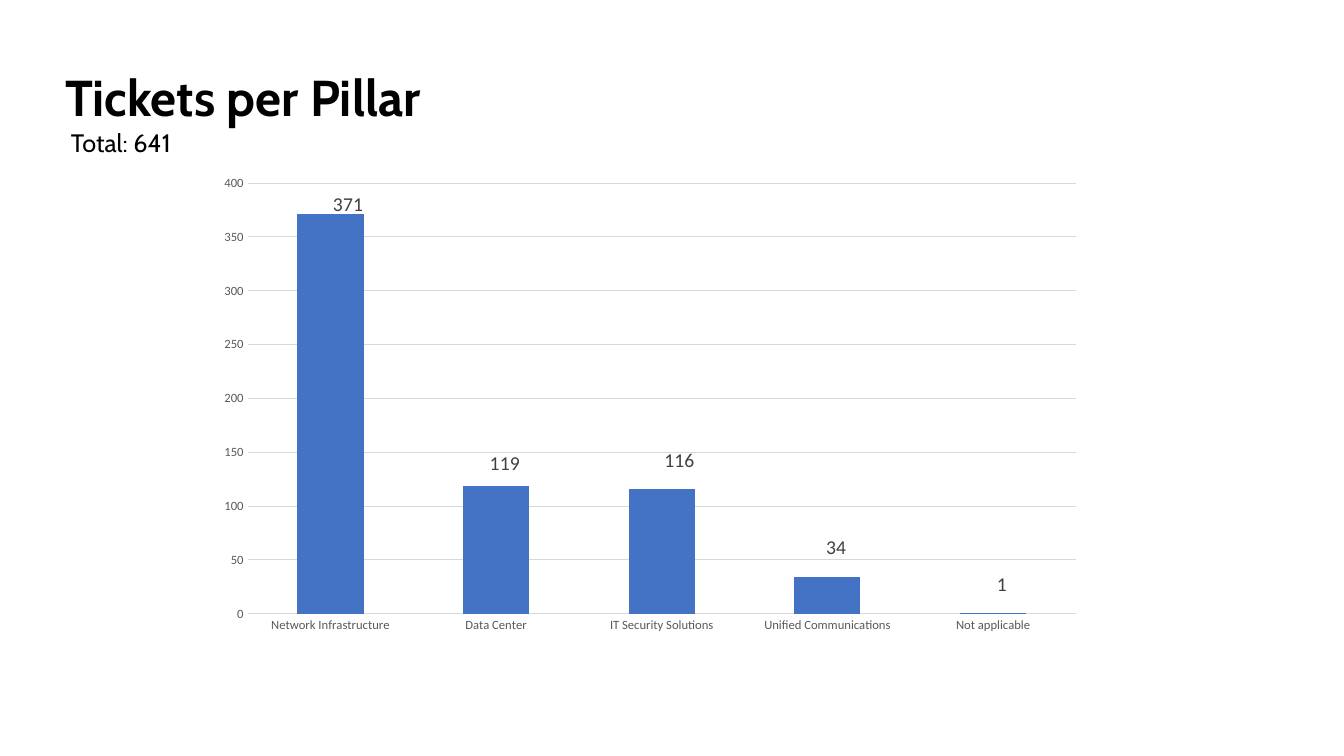
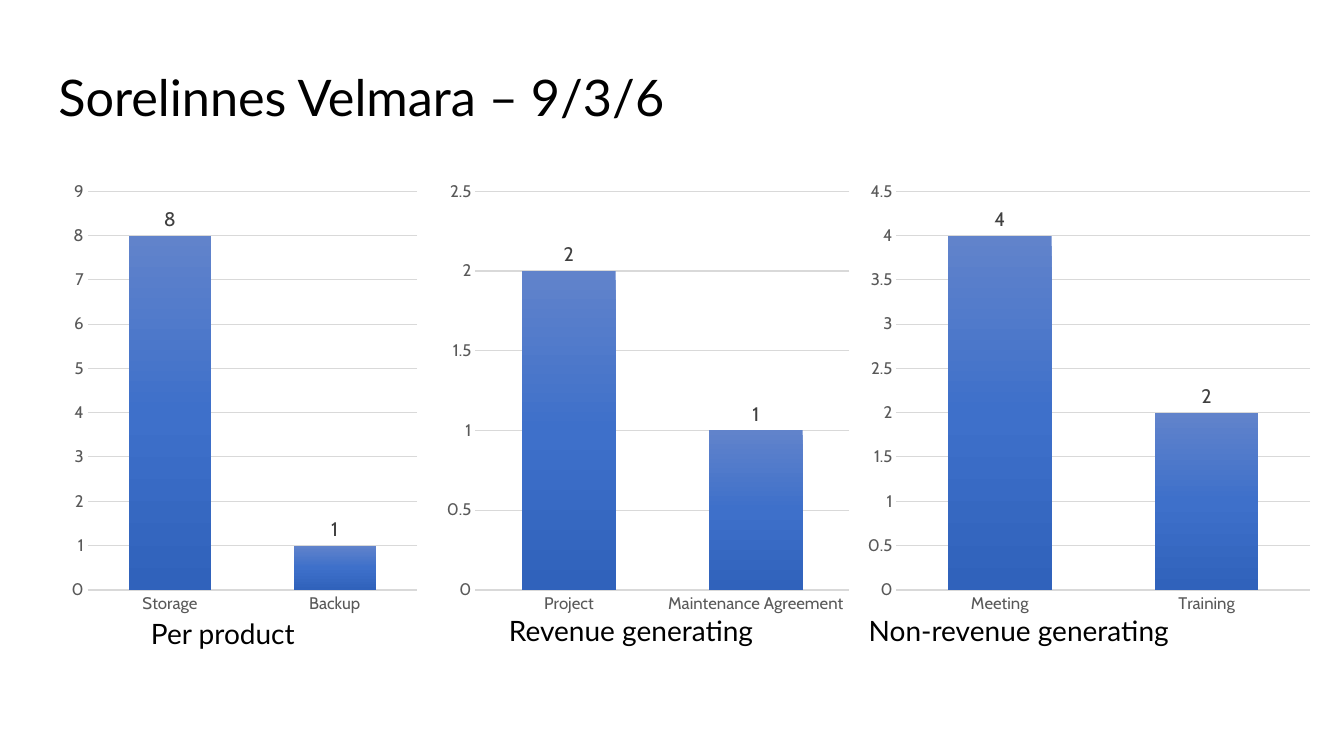
"""Build the two ticket summary slides."""
import copy

import lxml.etree
import pptx
import pptx.chart.data
import pptx.dml.color
import pptx.enum.chart
import pptx.enum.text
import pptx.oxml.ns
import pptx.util

Pt = pptx.util.Pt
BLACK, AXIS_GREY, LABEL_GREY, GRID_GREY = "000000", "595959", "404040", "D9D9D9"
BLUE = "4472C4"
BLUE_GRADIENT = ((0, "6183CB"), (0.5, "3E70CA"), (1, "3062BB"))
TITLE_SIZE = 36
TOP = 43.9
CHART_TOP, CHART_HEIGHT = 123.1, 321.8


def rgb(hex_color):
    """Turn a hex string into a colour."""
    return pptx.dml.color.RGBColor.from_string(hex_color)


def style_font(font, face, size, color, bold=False):
    """Set face, size, colour and weight of a font."""
    font.name, font.size, font.bold = face, Pt(size), bold
    font.color.rgb = rgb(color)


def add_text(slide, box, lines, face, wrap=False):
    """Add a text box with lines of (text, size, bold, indent)."""
    frame = slide.shapes.add_textbox(*map(Pt, box)).text_frame
    frame.word_wrap = wrap
    frame.auto_size = pptx.enum.text.MSO_AUTO_SIZE.SHAPE_TO_FIT_TEXT
    for number, (text, size, bold, indent) in enumerate(lines):
        paragraph = frame.add_paragraph() if number else frame.paragraphs[0]
        if indent:
            paragraph._p.get_or_add_pPr().set("marL", str(Pt(indent)))
        run = paragraph.add_run()
        run.text = text
        style_font(run.font, face, size, BLACK, bold)


def style_axis(axis, face, size):
    """Give an axis its text style and hide its ticks and line."""
    axis.major_tick_mark = axis.minor_tick_mark = pptx.enum.chart.XL_TICK_MARK.NONE
    style_font(axis.tick_labels.font, face, size, AXIS_GREY)
    axis.format.line.fill.background()


def add_columns(slide, box, kind, values, face, axis_size, top, step, gap, overlap):
    """Add a column chart of one series and return it."""
    data = pptx.chart.data.CategoryChartData()
    data.categories = list(values)
    data.add_series("Series 1", list(values.values()))
    chart = slide.shapes.add_chart(kind, *map(Pt, box), data).chart
    chart.has_legend = chart.has_title = False
    style_font(chart.font, face, 10, BLACK)
    for axis in (chart.category_axis, chart.value_axis):
        style_axis(axis, face, axis_size)
    scale = chart.value_axis
    scale.minimum_scale, scale.maximum_scale, scale.major_unit = 0, top, step
    scale.has_major_gridlines = True
    grid = scale.major_gridlines.format.line
    grid.width = Pt(0.75)
    grid.color.rgb = rgb(GRID_GREY)
    plot = chart.plots[0]
    plot.vary_by_categories = False
    plot.gap_width, plot.overlap = gap, overlap
    plot.series[0].invert_if_negative = False
    return chart


def fill_gradient(fill, stops):
    """Fill from top to bottom through three colour stops."""
    fill.gradient()
    fill.gradient_angle = 270
    last = fill.gradient_stops[1]._gs
    last.addprevious(copy.deepcopy(last))
    for stop, (position, color) in zip(fill.gradient_stops, stops):
        stop.position = position
        stop.color.rgb = rgb(color)


def shift_label(chart, number, shift):
    """Move one data label by a fraction of the chart size."""
    index = chart.element.xpath(f".//c:dLbl/c:idx[@val='{number}']")[0]
    qn = pptx.oxml.ns.qn
    layout = lxml.etree.Element(qn("c:layout"))
    manual = lxml.etree.SubElement(layout, qn("c:manualLayout"))
    for axis, offset in zip("xy", shift):
        lxml.etree.SubElement(manual, qn(f"c:{axis}")).set("val", str(offset))
    index.addnext(layout)


def hide_leader_lines(chart):
    """Draw no lines from moved data labels to their columns."""
    for leader_lines in chart.element.xpath(".//c:dLbls/c:showLeaderLines"):
        leader_lines.set("val", "0")


def add_pillar_chart(slide):
    """Add the chart of tickets per pillar."""
    tickets = {"Network Infrastructure": 371, "Data Center": 119,
               "IT Security Solutions": 116, "Unified Communications": 34,
               "Not applicable": 1}
    shifts = ((0.02, -0.44), (0.01, -0.18), (0.02, -0.19), (0.01, -0.1), (0.01, -0.06))
    chart = add_columns(slide, (147.6, 118.8, 633.6, 339.8),
                        pptx.enum.chart.XL_CHART_TYPE.COLUMN_STACKED,
                        tickets, "Calibri", 9, 400, 50, 150, 100)
    series = chart.plots[0].series[0]
    series.format.fill.solid()
    series.format.fill.fore_color.rgb = rgb(BLUE)
    for number, shift in enumerate(shifts):
        style_font(series.points[number].data_label.font, "Calibri", 14, LABEL_GREY)
        shift_label(chart, number, shift)
    hide_leader_lines(chart)


def add_activity_chart(slide, left, width, values, top, step):
    """Add one gradient chart of ticket counts."""
    chart = add_columns(slide, (left, CHART_TOP, width, CHART_HEIGHT),
                        pptx.enum.chart.XL_CHART_TYPE.COLUMN_CLUSTERED,
                        values, "Cabin", 12, top, step, 100, -24)
    baseline = chart.category_axis.format.line
    baseline.width = Pt(1)
    baseline.color.rgb = rgb(GRID_GREY)
    series = chart.plots[0].series[0]
    fill_gradient(series.format.fill, BLUE_GRADIENT)
    labels = series.data_labels
    labels.show_value = True
    labels.position = pptx.enum.chart.XL_LABEL_POSITION.OUTSIDE_END
    style_font(labels.font, "Cabin", 14, LABEL_GREY)


def build_pillar_slide(slide):
    """Build the slide of tickets per pillar."""
    add_text(slide, (39.6, TOP, 289.4, 74.9),
             (("Tickets per Pillar", TITLE_SIZE, True, 0),
              ("Total: 641", 18, False, 4)), "Cabin")
    add_pillar_chart(slide)


def build_activity_slide(slide):
    """Build the slide of tickets by product and activity."""
    add_text(slide, (34.6, TOP, 653, 51.1),
             (("Sorelinnes Velmara – 9/3/6", TITLE_SIZE, False, 0),), "Lato", True)
    activities = (
        (46.1, 257, {"Storage": 8, "Backup": 1}, 9, 1),
        (313.2, 299.5, {"Project": 2, "Maintenance Agreement": 1}, 2.5, 0.5),
        (613.4, 329, {"Meeting": 4, "Training": 2}, 4.5, 0.5),
    )
    for activity in activities:
        add_activity_chart(slide, *activity)
    captions = (
        ("Per product", 100.8, 437, 125.3),
        ("Revenue generating", 356.4, 434.9, 208.1),
        ("Non-revenue generating", 613.4, 434.9, 250.6),
    )
    for caption, left, top, width in captions:
        add_text(slide, (left, top, width, 31.7), ((caption, 20, False, 0),), "Lato")


def main():
    """Build and save the presentation."""
    deck = pptx.Presentation()
    deck.slide_width, deck.slide_height = Pt(960), Pt(540)
    for build in (build_pillar_slide, build_activity_slide):
        build(deck.slides.add_slide(deck.slide_layouts[6]))
    deck.save("out.pptx")


if __name__ == "__main__":
    main()
